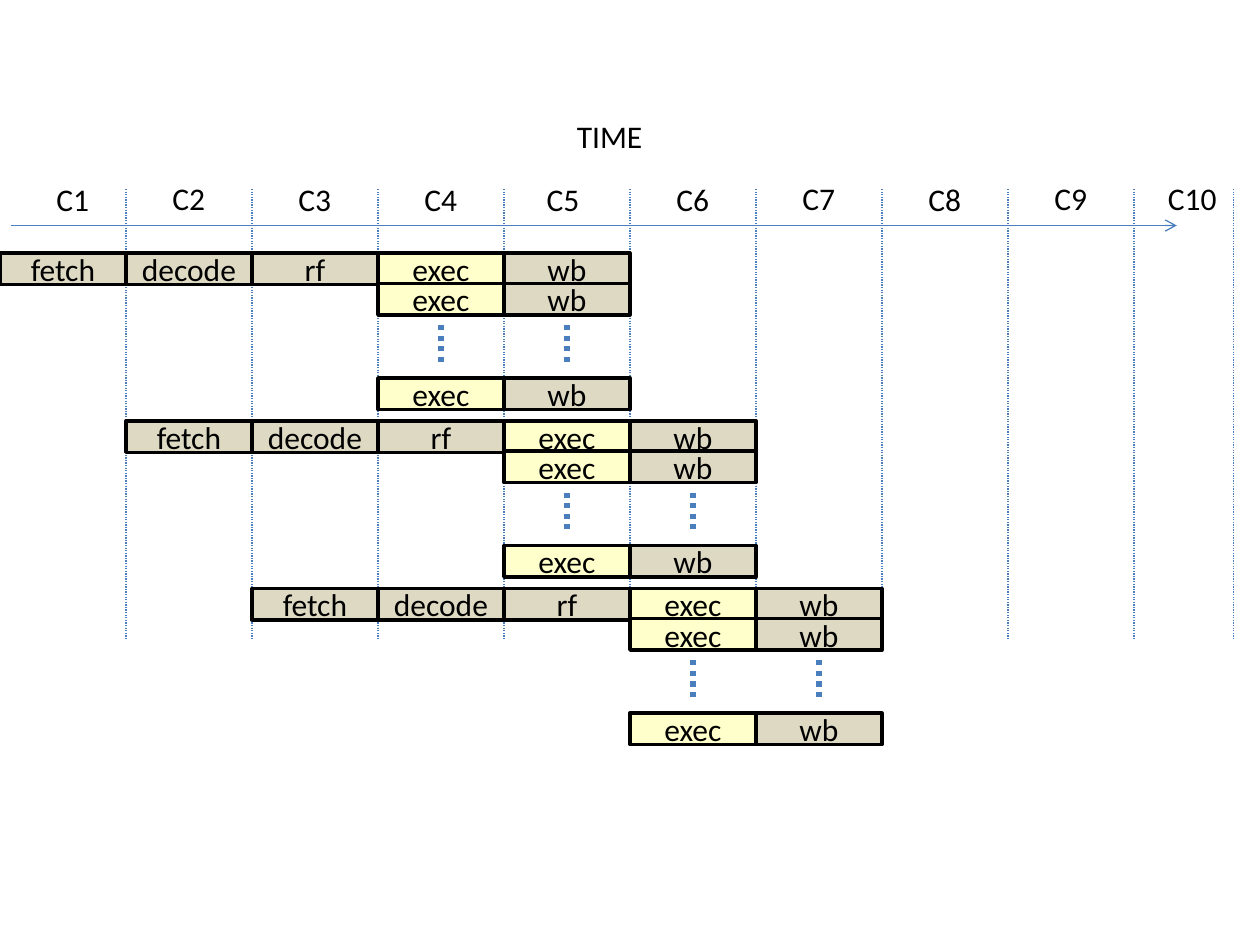
import pptx
import pptx.dml.color
import pptx.enum.dml
import pptx.enum.shapes
import pptx.enum.text
import pptx.oxml
import pptx.oxml.ns
import pptx.util

Inches = pptx.util.Inches
COLORS = {"text": "000000", "outline": "000000", "line": "4B7EBC",
          "stage": "DDD9C3", "exec": "FFFFCC"}
STAGES = ["fetch", "decode", "rf", "exec", "wb"]
CYCLE_WIDTH = 1
STAGE_HEIGHT = 0.25
FIRST_TOP, INSTRUCTION_STEP, INSTRUCTIONS = 2.01, 1.33, 3
LANE_OFFSETS = [0.24, 0.99]
DOTS_START, DOTS_END = 0.57, 0.9
GRID_TOP, GRID_BOTTOM = 1.5, 5.08
CYCLE_LABELS = [(0.35, 1.38), (1.27, 1.37), (2.27, 1.38), (3.27, 1.38),
                (4.24, 1.38), (5.27, 1.38), (6.27, 1.37), (7.27, 1.38),
                (8.27, 1.37), (9.17, 1.37)]


def rgb(name):
    return pptx.dml.color.RGBColor.from_string(COLORS[name])


class PipelineSlide:
    """Holds the text style and the slide that is being drawn."""

    font_format = {"name": "Calibri", "size": pptx.util.Pt(18)}

    def __init__(self, slide):
        self.shapes = slide.shapes

    def add_text(self, frame, text):
        paragraph = frame.paragraphs[0]
        run = paragraph.add_run()
        run.text = text
        for attribute, value in self.font_format.items():
            setattr(run.font, attribute, value)
        run.font.color.rgb = rgb("text")
        return paragraph

    def label(self, text, left, top, width):
        box = self.shapes.add_textbox(
            Inches(left), Inches(top), Inches(width), Inches(0.4))
        frame = box.text_frame
        frame.word_wrap = False
        frame.auto_size = pptx.enum.text.MSO_AUTO_SIZE.SHAPE_TO_FIT_TEXT
        self.add_text(frame, text)

    def stage(self, text, left, top):
        box = self.shapes.add_shape(
            pptx.enum.shapes.MSO_SHAPE.RECTANGLE, Inches(left), Inches(top),
            Inches(CYCLE_WIDTH), Inches(STAGE_HEIGHT))
        box.shadow.inherit = False
        box.fill.solid()
        box.fill.fore_color.rgb = rgb("exec" if text == "exec" else "stage")
        box.line.color.rgb = rgb("outline")
        box.line.width = pptx.util.Pt(2)
        box.text_frame.vertical_anchor = pptx.enum.text.MSO_ANCHOR.MIDDLE
        paragraph = self.add_text(box.text_frame, text)
        paragraph.alignment = pptx.enum.text.PP_ALIGN.CENTER

    def line(self, start, end, width=0.75, dotted=True, arrow=False):
        connector = self.shapes.add_connector(
            pptx.enum.shapes.MSO_CONNECTOR.STRAIGHT,
            *(Inches(value) for value in (*start, *end)))
        connector.line.color.rgb = rgb("line")
        connector.line.width = pptx.util.Pt(width)
        if dotted:
            connector.line.dash_style = pptx.enum.dml.MSO_LINE.ROUND_DOT
        properties = connector._element.spPr
        if arrow:
            outline = properties.find(pptx.oxml.ns.qn("a:ln"))
            outline.append(pptx.oxml.parse_xml(
                f'<a:tailEnd {pptx.oxml.ns.nsdecls("a")} type="arrow"/>'))
        properties.append(pptx.oxml.parse_xml(
            f'<a:effectLst {pptx.oxml.ns.nsdecls("a")}/>'))

    def instruction(self, first_cycle, top):
        """Draw one instruction whose exec and wb stages run in many lanes."""
        lefts = [(first_cycle + i) * CYCLE_WIDTH for i in range(len(STAGES))]
        timed_stages = list(zip(STAGES, lefts))
        for name, left in timed_stages:
            self.stage(name, left, top)
        for name, left in timed_stages[-2:]:
            for offset in LANE_OFFSETS:
                self.stage(name, left, top + offset)
            center = left + CYCLE_WIDTH / 2
            self.line((center, top + DOTS_START), (center, top + DOTS_END),
                      width=3)


def main():
    presentation = pptx.Presentation()
    presentation.slide_width = Inches(10)
    presentation.slide_height = Inches(7.5)
    blank_layout = presentation.slide_layouts[6]
    pipeline = PipelineSlide(presentation.slides.add_slide(blank_layout))

    pipeline.line((0.09, 1.79), (9.34, 1.79), dotted=False, arrow=True)
    pipeline.label("TIME", 4.48, 0.88, 0.73)
    for boundary in [*range(1, 10), 9.79]:
        pipeline.line((boundary, GRID_TOP), (boundary, GRID_BOTTOM))
    for cycle, (left, top) in enumerate(CYCLE_LABELS, start=1):
        pipeline.label(f"C{cycle}", left, top, 0.46 if cycle < 10 else 0.59)
    for index in range(INSTRUCTIONS):
        pipeline.instruction(index, FIRST_TOP + index * INSTRUCTION_STEP)

    presentation.save("out.pptx")


if __name__ == "__main__":
    main()
